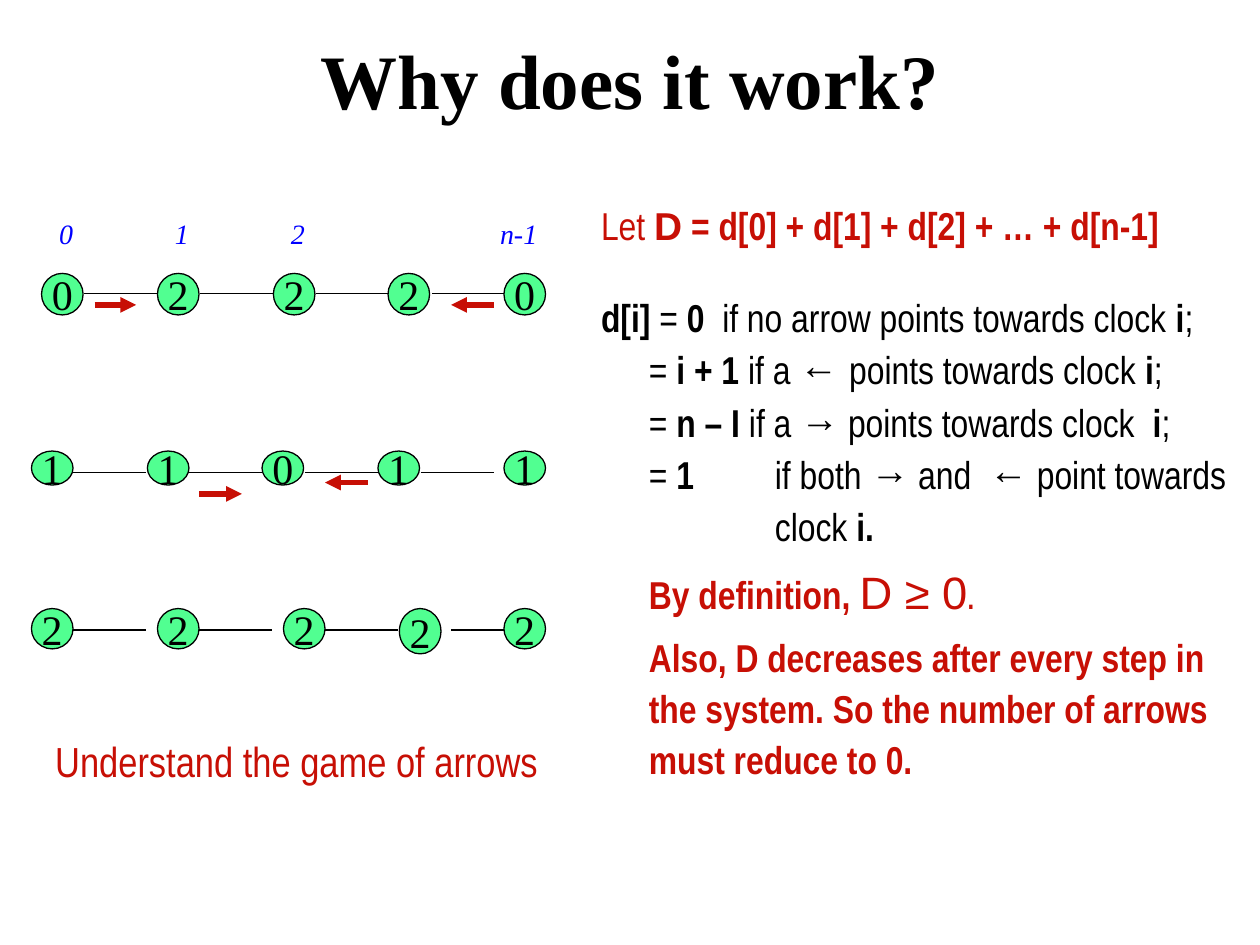
from lxml.etree import SubElement
from pptx import Presentation
from pptx.dml.color import RGBColor
from pptx.enum.shapes import MSO_CONNECTOR, MSO_SHAPE
from pptx.enum.text import MSO_ANCHOR, MSO_AUTO_SIZE, PP_ALIGN
from pptx.oxml.ns import qn
from pptx.util import Inches, Pt

# Content
TITLE = "Why does it work?"
CAPTION = "Understand the game of arrows"
INDEX_LABELS = [("0", 0.37, 0.31), ("1", 1.29, 0.31), ("2", 2.21, 0.31), ("n-1", 3.87, 0.55)]
CLOCK_ROWS = [
    {"values": "02220", "lefts": [0.33, 1.25, 2.17, 3.08, 4], "top": 2.17, "heights": [0.33] * 5,
     "link_start": 0.67, "link_step": 0.92, "link_y": 2.33},
    {"values": "11011", "lefts": [0.25, 1.17, 2.08, 3, 4], "top": 3.58, "heights": [0.27] * 5,
     "link_start": 0.58, "link_step": 0.92, "link_y": 3.75},
    {"values": "22222", "lefts": [0.25, 1.25, 2.25, 3.17, 4], "top": 4.83,
     "heights": [0.32, 0.32, 0.32, 0.36, 0.32],
     "link_start": 0.58, "link_step": 1, "link_y": 5},
]
ARROWS = [(0.75, 1.08, 2.42), (1.58, 1.92, 3.92), (3.92, 3.58, 2.42), (2.92, 2.58, 3.83)]

# Body paragraphs: colour, line spacing, space before, alignment, runs (text, style)
LEFT, JUSTIFY = PP_ALIGN.LEFT, PP_ALIGN.JUSTIFY
BODY = [
    ("red", 0.9, 0, LEFT, [("Let ", "plain"), ("D", "symbol"),
                           (" = d[0] + d[1] + d[2] + … + d[n-1]", "strong")]),
    ("black", 0.9, 28.5, JUSTIFY, [("d[i] ", "strong"), ("= ", "plain"), ("0", "strong"),
                                   ("  if no arrow points towards clock ", "plain"),
                                   ("i", "strong"), (";", "plain")]),
    ("black", 0.9, 6, JUSTIFY, [("\t= ", "plain"), ("i + 1", "strong"),
                                (" if a ← points towards clock ", "plain"),
                                ("i", "strong"), ("; ", "plain")]),
    ("black", 0.9, 6, JUSTIFY, [("\t= ", "plain"), ("n – I", "strong"), (" if a ", "plain"),
                                ("→", "strong"), (" points towards clock  ", "plain"),
                                ("i", "strong"), (";", "plain")]),
    ("black", 0.9, 6, LEFT, [("\t= ", "plain"), ("1\t", "strong"), ("if both ", "plain"),
                             ("→", "strong"), (" and  ", "plain"), ("← ", "strong"),
                             ("point towards", "plain")]),
    ("black", 0.9, 6, LEFT, [("\t \tclock ", "plain"), ("i.", "strong")]),
    ("red", 1.1, 4.5, LEFT, [("\t", "small"), ("By definition, ", "strong"),
                             ("D ≥ 0", "formula"), (".", "small")]),
    ("red", 1.1, 6, LEFT, [("\t", "small"),
                           ("Also, D decreases after every step in the system. "
                            "So the number of arrows must reduce to 0.", "strong")]),
]

# Theme
NARROW, SANS, SERIF = "Arial Narrow", "Arial", "Times New Roman"
THEME = {
    "colours": {name: RGBColor.from_string(code) for name, code in
                {"black": "000000", "red": "C70F05", "green": "51FF91", "blue": "0000FF"}.items()},
    "styles": {
        "title": {"name": SERIF, "size": Pt(44), "bold": True},
        "clock": {"name": SERIF, "size": Pt(24)},
        "index": {"name": SERIF, "size": Pt(16), "italic": True},
        "caption": {"name": NARROW, "size": Pt(24)},
        "plain": {"name": NARROW, "size": Pt(22.2), "bold": False},
        "strong": {"name": NARROW, "size": Pt(22.2), "bold": True},
        "symbol": {"name": SANS, "size": Pt(22.2), "bold": True},
        "formula": {"name": SANS, "size": Pt(25.9), "bold": False},
        "small": {"name": NARROW, "size": Pt(16.6), "bold": True},
    },
}
COLOURS, STYLES = THEME["colours"], THEME["styles"]
CLOCK_WIDTH, LINK_LENGTH, LAST_CLOCK = 0.33, 0.58, 4
INDENT, TAB_STEP = 0.38, 1


def set_values(target, values):
    for name, value in values.items():
        setattr(target, name, value)


def add_span(para, text, style, colour):
    span = para.add_run()
    span.text = text
    set_values(span.font, STYLES[style])
    span.font.color.rgb = COLOURS[colour]


def place(shape, *bounds):
    set_values(shape, dict(zip(("left", "top", "width", "height"), map(Inches, bounds))))


def add_label(page, text, style, colour, *bounds):
    box = page.shapes.add_textbox(*map(Inches, bounds))
    set_values(box.text_frame, {"word_wrap": False, "auto_size": MSO_AUTO_SIZE.SHAPE_TO_FIT_TEXT})
    add_span(box.text_frame.paragraphs[0], text, style, colour)


def add_clock(page, value, *bounds):
    clock = page.shapes.add_shape(MSO_SHAPE.OVAL, *map(Inches, bounds))
    clock.shadow.inherit = False
    clock.fill.solid()
    clock.fill.fore_color.rgb = COLOURS["green"]
    clock.line.color.rgb = COLOURS["black"]
    clock.line.width = Pt(0.75)
    set_values(clock.text_frame, {"word_wrap": False, "vertical_anchor": MSO_ANCHOR.MIDDLE})
    para = clock.text_frame.paragraphs[0]
    para.alignment = PP_ALIGN.CENTER
    add_span(para, value, "clock", "black")


def add_line(page, start, end, y, colour, width, arrow=False):
    line = page.shapes.add_connector(MSO_CONNECTOR.STRAIGHT, Inches(start), Inches(y),
                                     Inches(end), Inches(y))
    line.line.color.rgb = COLOURS[colour]
    line.line.width = Pt(width)
    if arrow:
        SubElement(line.line._get_or_add_ln(), qn("a:tailEnd"), type="triangle")
    SubElement(line._element.spPr, qn("a:effectLst"))


def add_body_para(para, colour, line_spacing, space_before, alignment, spans):
    properties = para._p.get_or_add_pPr()
    for name, length in {"marL": INDENT, "indent": -INDENT, "defTabSz": TAB_STEP}.items():
        properties.set(name, str(Inches(length)))
    SubElement(properties, qn("a:buNone"))
    tabs = SubElement(properties, qn("a:tabLst"))
    for stop in range(8):
        SubElement(tabs, qn("a:tab"), pos=str(Inches(stop * TAB_STEP)), algn="l")
    set_values(para, {"line_spacing": line_spacing, "space_before": Pt(space_before),
                      "alignment": alignment})
    for text, style in spans:
        add_span(para, text, style, colour)


def main():
    deck = Presentation()
    deck.slide_width, deck.slide_height = Inches(10), Inches(7.5)
    page = deck.slides.add_slide(deck.slide_layouts[1])

    # Title and definitions
    title, body = page.placeholders
    place(title, 0.75, 0, 8.5, 1.25)
    add_span(title.text_frame.paragraphs[0], TITLE, "title", "black")
    place(body, 4.67, 1.59, 5.33, 5.33)
    frame = body.text_frame
    frame.auto_size = MSO_AUTO_SIZE.NONE
    for number, content in enumerate(BODY):
        para = frame.add_paragraph() if number else frame.paragraphs[0]
        add_body_para(para, *content)

    # Rows of linked clocks
    for row in CLOCK_ROWS:
        for value, left, height in zip(row["values"], row["lefts"], row["heights"]):
            add_clock(page, value, left, row["top"], CLOCK_WIDTH, height)
        for number in range(len(row["values"]) - 1):
            start = row["link_start"] + number * row["link_step"]
            end = min(start + LINK_LENGTH, LAST_CLOCK)
            add_line(page, start, end, row["link_y"], "black", 0.75)

    # Arrows, caption and clock numbers
    for start, end, y in ARROWS:
        add_line(page, start, end, y, "red", 3, arrow=True)
    add_label(page, CAPTION, "caption", "red", 0.34, 5.79, 4.03, 0.5)
    for text, left, width in INDEX_LABELS:
        add_label(page, text, "index", "blue", left, 1.67, width, 0.37)

    deck.save("out.pptx")


if __name__ == "__main__":
    main()
